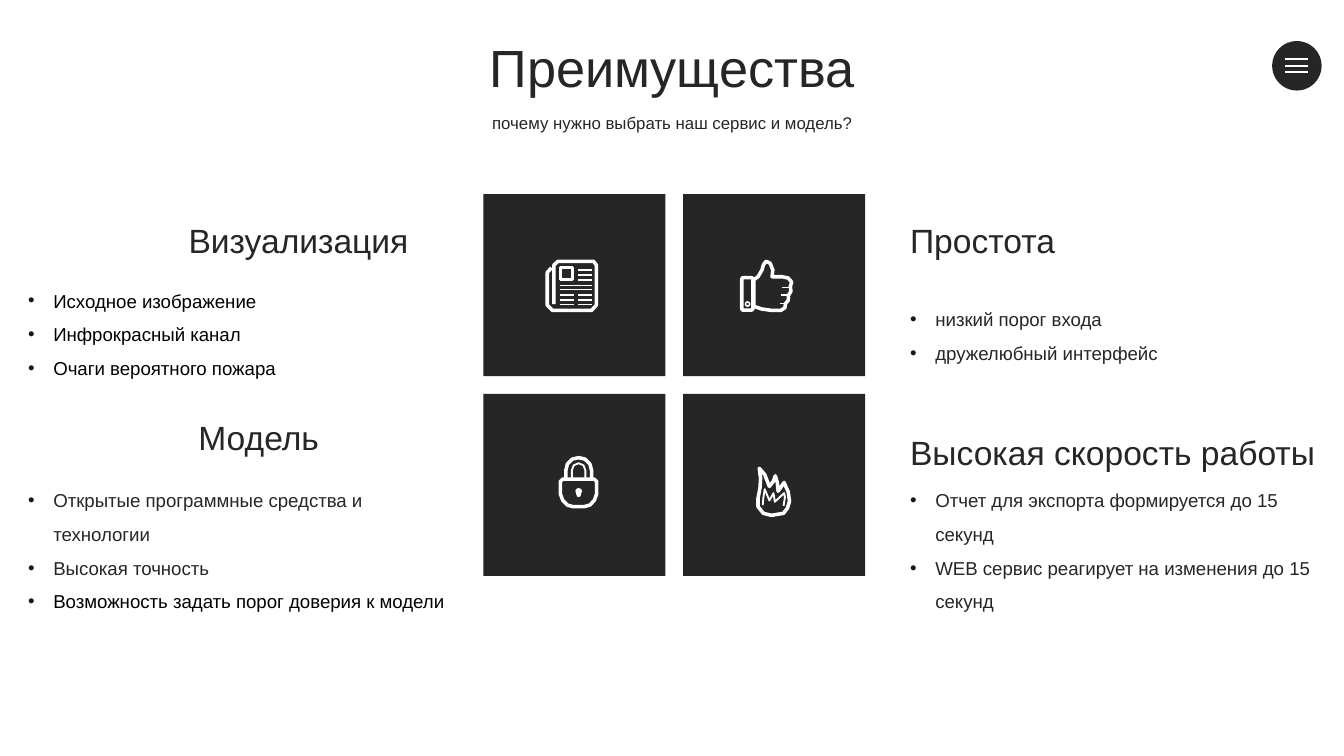
from lxml.etree import SubElement
from pptx import Presentation
from pptx.dml.color import RGBColor
from pptx.enum.shapes import MSO_CONNECTOR, MSO_SHAPE
from pptx.enum.text import MSO_ANCHOR, MSO_AUTO_SIZE, PP_ALIGN
from pptx.oxml.ns import qn
from pptx.util import Pt

FONT, DARK, WHITE, BLACK, BULLET = "Arial", "262626", "FFFFFF", "000000", "181717"
THICK, THIN = 1.9, 0.8
TILE_LEFT, TILE_TOP, TILE_SIZE, TILE_PITCH = 259, 104, 97.5, 107

TITLE = ("Преимущества", (171.5, 15.5, 377, 40.5))
SUBTITLE = ("почему нужно выбрать наш сервис и модель?", (232, 51.5, 256, 23))

HEADINGS = [
    ("Визуализация", (82, 114.5, 144, 29), PP_ALIGN.RIGHT),
    ("Модель", (88, 220, 90, 29), PP_ALIGN.RIGHT),
    ("Простота", (480.5, 114.5, 96.5, 29), PP_ALIGN.LEFT),
    ("Высокая скорость работы", (480.5, 228, 236, 29), PP_ALIGN.LEFT),
]

BENEFITS = [
    ((8, 145.5, 231, 61), [("Исходное изображение", BLACK),
                           ("Инфрокрасный канал", BLACK),
                           ("Очаги вероятного пожара", BLACK)]),
    ((8, 252.5, 242, 79), [("Открытые программные средства и технологии", DARK),
                           ("Высокая точность", DARK),
                           ("Возможность задать порог доверия к модели", BLACK)]),
    ((480.5, 155.5, 173.5, 43), [("низкий порог входа", DARK),
                                 ("дружелюбный интерфейс", DARK)]),
    ((480.5, 252.5, 231, 93.5), [("Отчет для экспорта формируется до 15 секунд", DARK),
                                 ("WEB сервис реагирует на изменения до 15 секунд", DARK)]),
]

PAGES = [(36.5, 39.5), (34.2, 42), (34.2, 59.5), (37, 62.3), (58, 62.3), (60.5, 59.5),
         (60.5, 38), (59, 36), (40, 36), (37.8, 38), (37.8, 59)]
NEWS_ROWS = ([(50.6, 58, y) for y in (40.7, 43.3, 46.1)]
             + [(40.8, 58, y) for y in (48.9, 51.2)]
             + [(left, left + 7.5, y) for left in (40.8, 50.6) for y in (54, 56.8, 59.1)])
HAND = [(37.9, 60.2), (42.2, 61.6), (47.3, 62.3), (52.3, 62.3), (54.5, 60.9), (54.8, 58.7),
        (56.3, 56.9), (56.3, 54.4), (57.7, 52.2), (57.4, 49.4), (58.1, 47.2), (56.3, 45),
        (53, 44.3), (47.6, 44.3), (48, 40.7), (46.6, 37.1), (44.4, 36), (43, 37.8),
        (42.2, 40.7), (40.1, 44.3), (37.9, 45.8)]
FINGERS = [(53, 56.6, 50), (52.3, 56, 54), (51.6, 55, 58.7)]
LOCK_BODY = [(42.5, 45.7), (59.4, 45.7), (60.7, 47), (60.7, 53.5), (59.5, 57), (57, 59.6),
             (54, 60.4), (48, 60.4), (45, 59.6), (42.5, 57), (41.2, 53.5), (41.2, 47)]
SHACKLE = [(44.1, 45.7), (44.1, 41), (45, 37.6), (47.6, 35), (51, 34.2),
           (54.4, 35), (57, 37.6), (57.9, 41), (57.9, 45.7)]
INNER_SHACKLE = [(47.4, 45.7), (47.4, 40.9), (48.4, 38.3), (51, 37.2),
                 (53.6, 38.3), (54.6, 40.9), (54.6, 45.7)]
KEYHOLE = [(51, 50.4), (52.3, 51), (52.8, 52), (52.4, 53.4), (51.9, 55), (51, 55.4),
           (50.1, 55), (49.6, 53.4), (49.2, 52), (49.7, 51)]
FLAME = [(40.8, 39.9), (43.7, 43.2), (46.2, 49.6), (48.4, 46.8), (49.4, 43.9), (50.5, 47.5),
         (50.9, 52.2), (54.1, 47.5), (56.3, 52.5), (57, 57.6), (55.9, 61.2), (53.8, 64),
         (47.3, 65.1), (43, 64), (40.1, 60.4), (40.1, 56.1), (41.2, 50.4), (41.5, 45.3)]
EMBERS = [(42.6, 59.7), (43, 55.4), (43.7, 51.1), (46.2, 57.2), (48.4, 53.2),
          (49.1, 57.9), (54.1, 53.2), (54.5, 55.4), (53.8, 60)]

ICONS = [
    {"curves": [(PAGES, False, THICK)], "rows": NEWS_ROWS,
     "frames": [(MSO_SHAPE.RECTANGLE, (41.3, 39.3, 6.4, 6.4), 1.4)]},
    {"curves": [(HAND, True, THICK)], "rows": FINGERS,
     "frames": [(MSO_SHAPE.ROUNDED_RECTANGLE, (31.4, 44.7, 6, 17.5), THICK),
                (MSO_SHAPE.OVAL, (33.4, 57.8, 2.2, 2.2), THIN)]},
    {"curves": [(LOCK_BODY, True, THICK), (SHACKLE, False, THICK),
                (INNER_SHACKLE, False, 1)], "solids": [KEYHOLE]},
    {"curves": [(FLAME, True, THICK), (EMBERS, False, 1)]},
]


def paint(shape, fill=None, line=None, width=1):
    """Set the fill and outline of a shape and remove its shadow."""
    shape.shadow.inherit = False
    if fill:
        shape.fill.solid()
        shape.fill.fore_color.rgb = RGBColor.from_string(fill)
    else:
        shape.fill.background()
    if line:
        shape.line.color.rgb = RGBColor.from_string(line)
        shape.line.width = Pt(width)
    else:
        shape.line.fill.background()


def add_preset(shapes, preset, box, **style):
    """Add a painted preset shape."""
    shape = shapes.add_shape(preset, *map(Pt, box))
    paint(shape, **style)


def add_rule(shapes, left, right, y, width):
    """Add a white horizontal line."""
    rule = shapes.add_connector(MSO_CONNECTOR.STRAIGHT, Pt(left), Pt(y), Pt(right), Pt(y))
    rule.line.color.rgb = RGBColor.from_string(WHITE)
    rule.line.width = Pt(width)
    SubElement(rule._element.spPr, qn("a:effectLst"))


def add_curve(shapes, points, origin, closed, **style):
    """Add a freeform through points measured from the origin."""
    placed = [(Pt(origin[0] + x), Pt(origin[1] + y)) for x, y in points]
    builder = shapes.build_freeform(*placed[0])
    builder.add_line_segments(placed[1:], close=closed)
    paint(builder.convert_to_shape(), **style)


def add_icon(shapes, icon, origin):
    """Draw one white icon inside the tile at the origin."""
    x, y = origin
    group = shapes.add_group_shape().shapes
    for points, closed, width in icon["curves"]:
        add_curve(group, points, origin, closed, line=WHITE, width=width)
    for points in icon.get("solids", []):
        add_curve(group, points, origin, True, fill=WHITE)
    for preset, (left, top, width, height), weight in icon.get("frames", []):
        add_preset(group, preset, (x + left, y + top, width, height), line=WHITE, width=weight)
    for left, right, row in icon.get("rows", []):
        add_rule(group, x + left, x + right, y + row, THIN)


def format_paragraph(paragraph, size, color=DARK, align=PP_ALIGN.LEFT, spacing=1.0):
    """Set the alignment, spacing and font of a paragraph."""
    paragraph.alignment = align
    paragraph.line_spacing = spacing
    for run in paragraph.runs:
        run.font.name = FONT
        run.font.size = Pt(size)
        run.font.color.rgb = RGBColor.from_string(color)


def add_bullet(paragraph):
    """Give a paragraph a hanging round bullet."""
    properties = paragraph._p.get_or_add_pPr()
    properties.set("marL", str(Pt(13.5)))
    properties.set("indent", str(-Pt(13.5)))
    tint = SubElement(properties, qn("a:buClr"))
    SubElement(tint, qn("a:srgbClr"), val=BULLET)
    SubElement(properties, qn("a:buFont"), typeface=FONT)
    SubElement(properties, qn("a:buChar"), char="•")


def add_text(shapes, lines, box, wrap=True):
    """Add a text box and return its paragraphs."""
    frame = shapes.add_textbox(*map(Pt, box)).text_frame
    frame.word_wrap = wrap
    frame.text = "\n".join(lines)
    return frame.paragraphs


def main():
    """Build the slide of advantages."""
    deck = Presentation()
    deck.slide_width, deck.slide_height = Pt(720), Pt(405)
    slide = deck.slides.add_slide(deck.slide_layouts[5])
    shapes = slide.shapes

    menu = shapes.add_group_shape().shapes
    add_preset(menu, MSO_SHAPE.OVAL, (681.5, 22, 26.5, 26.5), fill=DARK)
    for row in range(3):
        add_rule(menu, 688.5, 701, 31.8 + 3.5 * row, 1)

    title = shapes.title
    title.left, title.top, title.width, title.height = map(Pt, TITLE[1])
    title.text_frame.text = TITLE[0]
    title.text_frame.vertical_anchor = MSO_ANCHOR.TOP
    title.text_frame.auto_size = MSO_AUTO_SIZE.NONE
    format_paragraph(title.text_frame.paragraphs[0], 28, align=PP_ALIGN.CENTER)
    subtitle = add_text(shapes, [SUBTITLE[0]], SUBTITLE[1])[0]
    format_paragraph(subtitle, 9, align=PP_ALIGN.CENTER, spacing=1.5)

    for index, icon in enumerate(ICONS):
        row, column = divmod(index, 2)
        origin = (TILE_LEFT + column * TILE_PITCH, TILE_TOP + row * TILE_PITCH)
        add_preset(shapes, MSO_SHAPE.RECTANGLE, (*origin, TILE_SIZE, TILE_SIZE), fill=DARK)
        add_icon(shapes, icon, origin)

    for heading, box, align in HEADINGS:
        format_paragraph(add_text(shapes, [heading], box, wrap=False)[0], 18, align=align)
    for box, items in BENEFITS:
        paragraphs = add_text(shapes, [item for item, _ in items], box)
        for paragraph, (_, color) in zip(paragraphs, items):
            add_bullet(paragraph)
            format_paragraph(paragraph, 10, color, spacing=1.5)

    deck.save("out.pptx")


if __name__ == "__main__":
    main()
